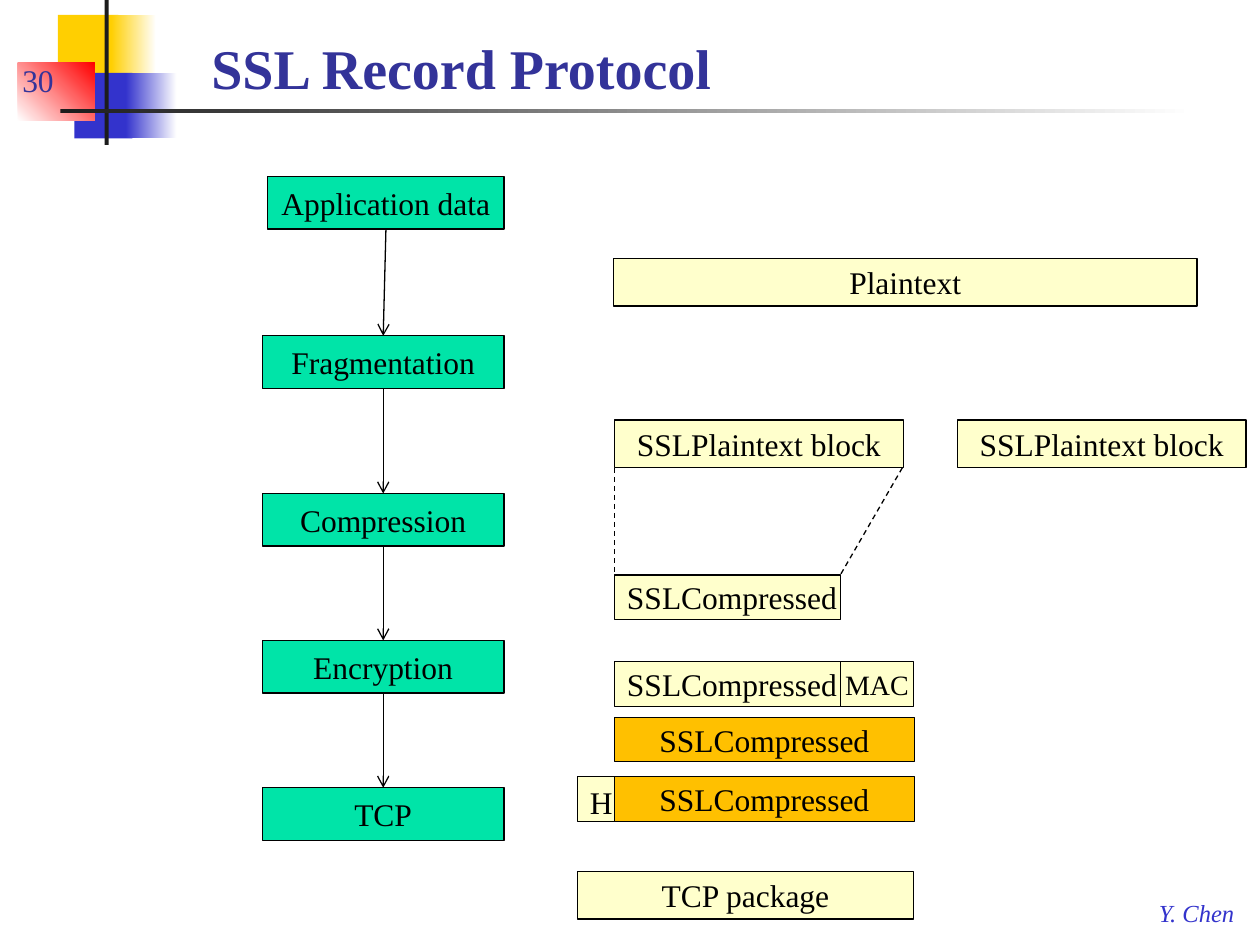
"""Build the SSL Record Protocol slide."""
from itertools import pairwise
from typing import NamedTuple, Optional

from lxml import etree
from pptx import Presentation
from pptx import util as u
from pptx.dml.color import RGBColor
from pptx.enum import dml, shapes, text
from pptx.oxml import ns

BLACK = RGBColor(0x00, 0x00, 0x00)
WHITE = RGBColor(0xFF, 0xFF, 0xFF)
COAL = RGBColor(0x1C, 0x1C, 0x1C)
GOLD = RGBColor(0xFF, 0xCF, 0x01)
BLUE = RGBColor(0x33, 0x33, 0xCC)
NAVY = RGBColor(0x33, 0x33, 0x99)
RED = RGBColor(0xFF, 0x00, 0x00)
GREEN = RGBColor(0x00, 0xE4, 0xA8)
CREAM = RGBColor(0xFF, 0xFF, 0xCC)
AMBER = RGBColor(0xFF, 0xC0, 0x00)

FONT = "Times New Roman"
LEFT, MID = text.PP_ALIGN.LEFT, text.PP_ALIGN.CENTER
TOP, CORE, BASE = text.MSO_ANCHOR.TOP, text.MSO_ANCHOR.MIDDLE, text.MSO_ANCHOR.BOTTOM


class Patch(NamedTuple):
    left: float
    top: float
    width: float
    height: float
    start: RGBColor
    end: Optional[RGBColor] = None
    angle: float = 0


class Box(NamedTuple):
    words: str
    left: float
    top: float
    width: float
    height: float
    fill: RGBColor = CREAM
    align: text.PP_ALIGN = MID
    anchor: text.MSO_ANCHOR = CORE
    wrap: bool = False
    size: int = 18


class Label(NamedTuple):
    words: str
    left: float
    top: float
    width: float
    height: float
    size: int
    color: RGBColor
    anchor: text.MSO_ANCHOR = BASE
    wrap: bool = True
    bold: bool = False
    slant: bool = False


class Line(NamedTuple):
    left: float
    top: float
    right: float
    base: float
    dashed: bool = False


PATCHES = [
    Patch(1.17, 0.3, 1.22, 1.32, GOLD),
    Patch(2.24, 0.3, 0.91, 1.32, GOLD, WHITE),
    Patch(1.5, 1.47, 1.17, 1.32, BLUE),
    Patch(2.54, 1.47, 1.02, 1.32, BLUE, WHITE),
    Patch(0.36, 1.27, 1.55, 1.17, WHITE, RED, 45),
    Patch(2.11, 0, 0.08, 2.92, COAL),
    Patch(1.22, 2.2, 22.86, 0.08, COAL, WHITE),
]

LABELS = [
    Label("Y. Chen", 23.11, 17.98, 2.08, 0.84, 14, BLUE, TOP, False, slant=True),
    Label("SSL Record Protocol", 4.01, 0.43, 21.16, 1.73, 32, NAVY, bold=True),
    Label("30", 0.2, 0.84, 1.9, 1.27, 18, NAVY),
]

STEP = 1.06
STEPS = [
    Box("Application data", 5.4, 3.56, 4.76, STEP, GREEN),
    *(Box(words, 5.29, top, 4.87, STEP, GREEN)
      for words, top in [("Fragmentation", 6.77), ("Compression", 9.95),
                         ("Encryption", 12.91), ("TCP", 15.88)]),
]

EDGE, HEAD, SPLIT = 12.39, 11.64, 16.94
TALL, LOW = 0.96, 0.9
BLOCKS = [
    Box("Plaintext", 12.37, 5.21, 11.76, TALL),
    *(Box("SSLPlaintext block", left, 8.47, 5.82, TALL) for left in (EDGE, 19.3)),
    *(Box("SSLCompressed", EDGE, top, SPLIT - EDGE, LOW, align=LEFT)
      for top in (11.59, 13.34)),
    Box("MAC", SPLIT, 13.34, 1.48, LOW, size=16),
    *(Box("SSLCompressed", EDGE, top, 6.04, LOW, AMBER) for top in (14.46, 15.66)),
    Box("H", HEAD, 15.66, EDGE - HEAD, LOW, align=LEFT, anchor=TOP, wrap=True),
    Box("TCP package", HEAD, 17.57, 6.78, TALL),
]

LINES = [
    *(Line(a.left + a.width / 2, a.top + STEP, b.left + b.width / 2, b.top)
      for a, b in pairwise(STEPS)),
    Line(EDGE, 9.43, EDGE, 11.59, True),
    Line(18.19, 9.43, SPLIT, 11.59, True),
]


def write(frame, words: str, size: int, color: RGBColor, align=LEFT,
          anchor=CORE, wrap: bool = False) -> text.MSO_ANCHOR:
    """Put styled words in a text frame and return their font."""
    frame.text = words
    frame.word_wrap = wrap
    frame.vertical_anchor = anchor
    par = frame.paragraphs[0]
    par.alignment = align
    font = par.runs[0].font
    font.name, font.size = FONT, u.Pt(size)
    font.color.rgb = color
    return font


def add_rect(slide, item):
    """Add a plain rectangle at the place of the item."""
    rect = slide.shapes.add_shape(shapes.MSO_SHAPE.RECTANGLE, *map(u.Cm, item[-0:][:4]))
    rect.shadow.inherit = False
    return rect


def place(item) -> list:
    """Give the left, top, width and height of an item."""
    return [u.Cm(n) for n in (item.left, item.top, item.width, item.height)]


def draw_patch(slide, patch: Patch) -> None:
    """Draw a plain or fading patch without outline."""
    rect = draw_rect(slide, patch)
    rect.line.fill.background()
    if patch.end is None:
        rect.fill.solid()
        rect.fill.fore_color.rgb = patch.start
        return
    rect.fill.gradient()
    rect.fill.gradient_angle = patch.angle
    for stop, color in zip(rect.fill.gradient_stops, (patch.start, patch.end)):
        stop.color.rgb = color


def draw_rect(slide, item):
    """Draw a rectangle without shadow."""
    rect = slide.shapes.add_shape(shapes.MSO_SHAPE.RECTANGLE, *place(item))
    rect.shadow.inherit = False
    return rect


def draw_box(slide, box: Box) -> None:
    """Draw an outlined box with its words."""
    rect = draw_rect(slide, box)
    rect.fill.solid()
    rect.fill.fore_color.rgb = box.fill
    rect.line.color.rgb = BLACK
    rect.line.width = u.Pt(0.75)
    write(rect.text_frame, box.words, box.size, BLACK, box.align, box.anchor, box.wrap)


def draw_label(slide, label: Label) -> None:
    """Draw free text."""
    frame = slide.shapes.add_textbox(*place(label)).text_frame
    font = write(frame, label.words, label.size, label.color,
                 anchor=label.anchor, wrap=label.wrap)
    font.bold, font.italic = label.bold, label.slant


def draw_line(slide, line: Line) -> None:
    """Draw a dashed line or an arrow."""
    link = slide.shapes.add_connector(
        shapes.MSO_CONNECTOR.STRAIGHT,
        *map(u.Cm, (line.left, line.top, line.right, line.base)))
    link.line.color.rgb = BLACK
    link.line.width = u.Pt(0.75)
    if line.dashed:
        link.line.dash_style = dml.MSO_LINE.DASH
    else:
        etree.SubElement(link.line._get_or_add_ln(), ns.qn("a:tailEnd"), type="arrow")
    etree.SubElement(link._element.spPr, ns.qn("a:effectLst"))


def main() -> None:
    """Draw every part and save the deck."""
    deck = Presentation()
    deck.slide_width, deck.slide_height = u.Cm(25.4), u.Cm(19.05)
    slide = deck.slides.add_slide(deck.slide_layouts[6])
    for draw, items in [(draw_patch, PATCHES), (draw_label, LABELS),
                        (draw_box, STEPS + BLOCKS), (draw_line, LINES)]:
        for item in items:
            draw(slide, item)
    deck.save("out.pptx")


if __name__ == "__main__":
    main()
